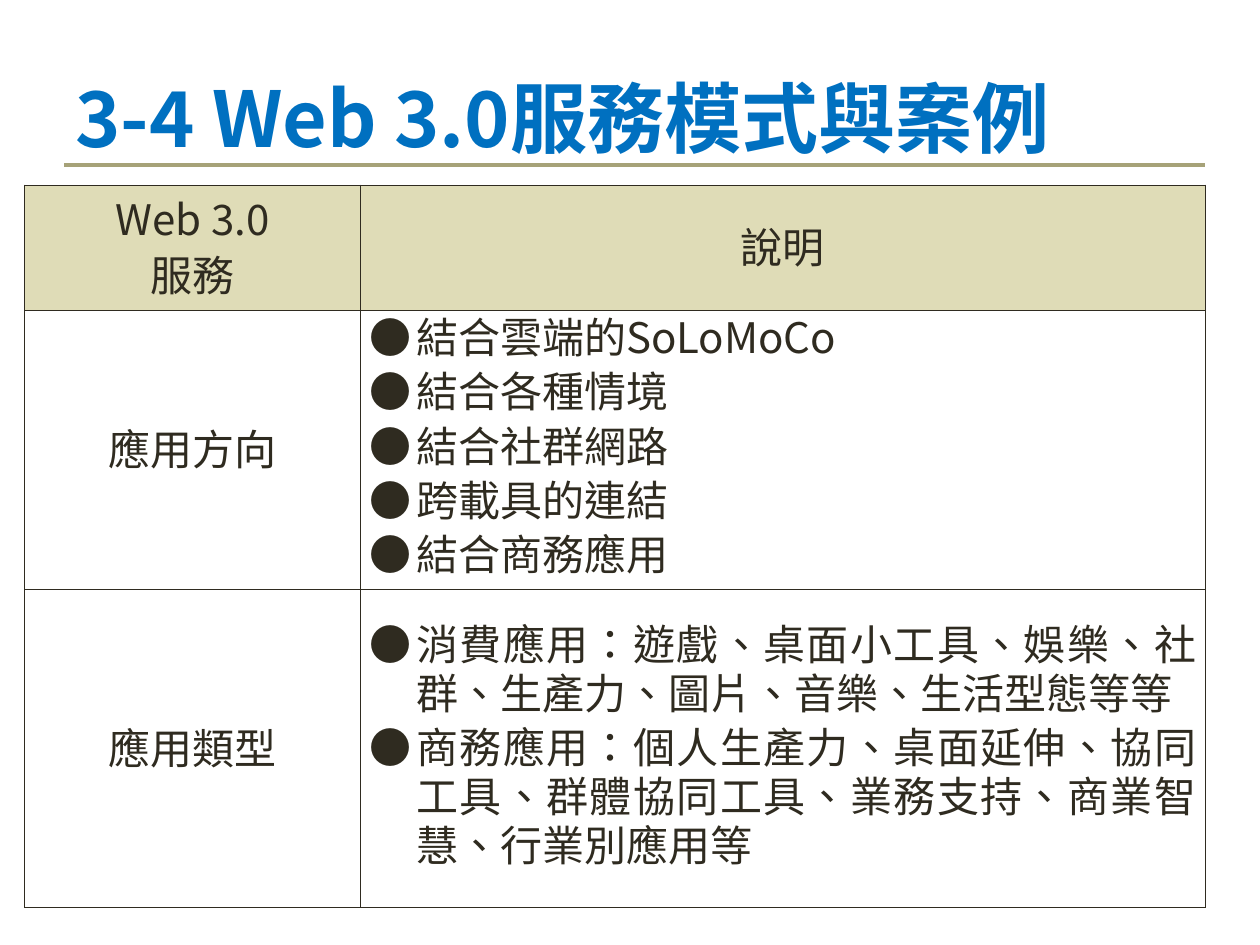
from lxml.etree import SubElement
from pptx import Presentation
from pptx.dml.color import RGBColor
from pptx.enum.lang import MSO_LANGUAGE_ID
from pptx.enum.shapes import MSO_CONNECTOR
from pptx.enum.text import MSO_ANCHOR, PP_ALIGN
from pptx.oxml.ns import qn
from pptx.util import Cm, Pt

COLORS = {"title": "0070C0", "rule": "A6A278", "ink": "2F2B20", "header": "DFDCB7"}
FONT = "Noto Sans CJK SC"
COLUMNS = (6.76, 17.04)
ROWS = (2.26, 5.64, 6.4)
TABLE = [
    (["Web 3.0\v服務"], ["說明"]),
    (["應用方向"],
     ["結合雲端的SoLoMoCo", "結合各種情境", "結合社群網路", "跨載具的連結", "結合商務應用"]),
    (["應用類型"],
     ["消費應用：遊戲、桌面小工具、娛樂、社群、生產力、圖片、音樂、生活型態等等",
      "商務應用：個人生產力、桌面延伸、協同工具、群體協同工具、業務支持、商業智慧、行業別應用等"]),
]


def rgb(name):
    return RGBColor.from_string(COLORS[name])


def set_attrs(obj, **values):
    for name, value in values.items():
        setattr(obj, name, value)


def write(p, text, color, **font):
    p.text = text
    for r in p.runs:
        set_attrs(r.font, name=FONT, language_id=MSO_LANGUAGE_ID.TRADITIONAL_CHINESE, **font)
        r.font.color.rgb = rgb(color)
        SubElement(r.font._element, qn("a:ea"), typeface=FONT)


def add_bullet(p):
    pPr = p._p.get_or_add_pPr()
    set_attrs(p, alignment=PP_ALIGN.JUSTIFY, line_spacing=Pt(28))
    pPr.set("marL", str(Cm(0.95)))
    pPr.set("indent", str(-Cm(0.95)))
    color = SubElement(pPr, qn("a:buClr"))
    SubElement(color, qn("a:srgbClr"), val=COLORS["ink"])
    SubElement(pPr, qn("a:buFont"), typeface=FONT)
    SubElement(pPr, qn("a:buChar"), char="●")


def add_borders(cell):
    """Must run before the cell fill is set, since lines come first in tcPr."""
    tcPr = cell._tc.get_or_add_tcPr()
    for side in ("lnL", "lnR", "lnT", "lnB"):
        line = SubElement(tcPr, qn(f"a:{side}"), w=str(Pt(0.45)))
        fill = SubElement(line, qn("a:solidFill"))
        SubElement(fill, qn("a:srgbClr"), val=COLORS["ink"])


def add_title(s, left, top, width, height):
    tf = s.shapes.add_textbox(left, top, width, height).text_frame
    set_attrs(tf, word_wrap=True, vertical_anchor=MSO_ANCHOR.MIDDLE)
    write(tf.paragraphs[0], "3-4 Web 3.0服務模式與案例", "title", size=Pt(44), bold=True)


def add_rule(s, left, top, width):
    rule = s.shapes.add_connector(MSO_CONNECTOR.STRAIGHT, left, top, left + width, top)
    rule.line.color.rgb = rgb("rule")
    rule.line.width = Pt(2.25)
    SubElement(rule._element.spPr, qn("a:effectLst"))


def fill_cell(cell, lines, header, bulleted):
    set_attrs(cell, vertical_anchor=MSO_ANCHOR.MIDDLE, margin_left=Cm(0.18),
              margin_right=Cm(0.18), margin_top=Cm(0.13), margin_bottom=Cm(0.13))
    add_borders(cell)
    if header:
        cell.fill.solid()
        cell.fill.fore_color.rgb = rgb("header")
    else:
        cell.fill.background()
    tf = cell.text_frame
    for i, text in enumerate(lines):
        p = tf.add_paragraph() if i else tf.paragraphs[0]
        if bulleted:
            add_bullet(p)
        else:
            set_attrs(p, alignment=PP_ALIGN.CENTER, line_spacing=Pt(32))
        if i:
            p.space_before = Pt(3)
        write(p, text, "ink", size=Pt(24))


def add_service_table(s, left, top, width, height):
    table = s.shapes.add_table(len(ROWS), len(COLUMNS), left, top, width, height).table
    set_attrs(table, first_row=False, horz_banding=False)
    for column, size in zip(table.columns, COLUMNS):
        column.width = Cm(size)
    for row, size in zip(table.rows, ROWS):
        row.height = Cm(size)
    for i, row in enumerate(TABLE):
        for j, lines in enumerate(row):
            fill_cell(table.cell(i, j), lines, header=i == 0, bulleted=i > 0 and j == 1)


def main():
    prs = Presentation()
    set_attrs(prs, slide_width=Cm(25.4), slide_height=Cm(19.05))
    s = prs.slides.add_slide(prs.slide_layouts[6])
    add_rule(s, Cm(1.3), Cm(3.33), Cm(23))
    add_title(s, Cm(1.27), Cm(0.76), Cm(21.16), Cm(3.18))
    add_service_table(s, Cm(0.5), Cm(3.73), Cm(sum(COLUMNS)), Cm(sum(ROWS)))
    prs.save("out.pptx")


if __name__ == "__main__":
    main()
